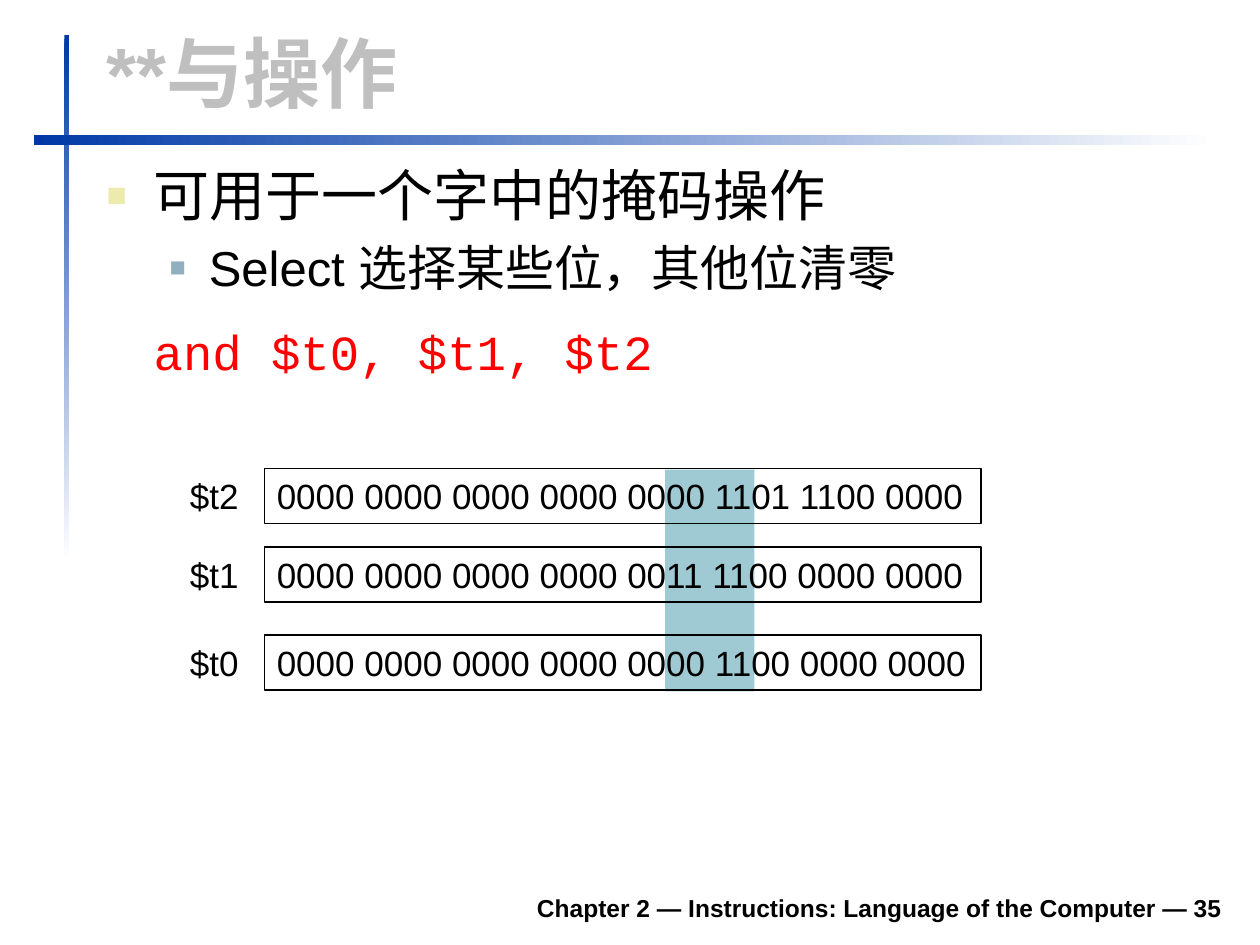
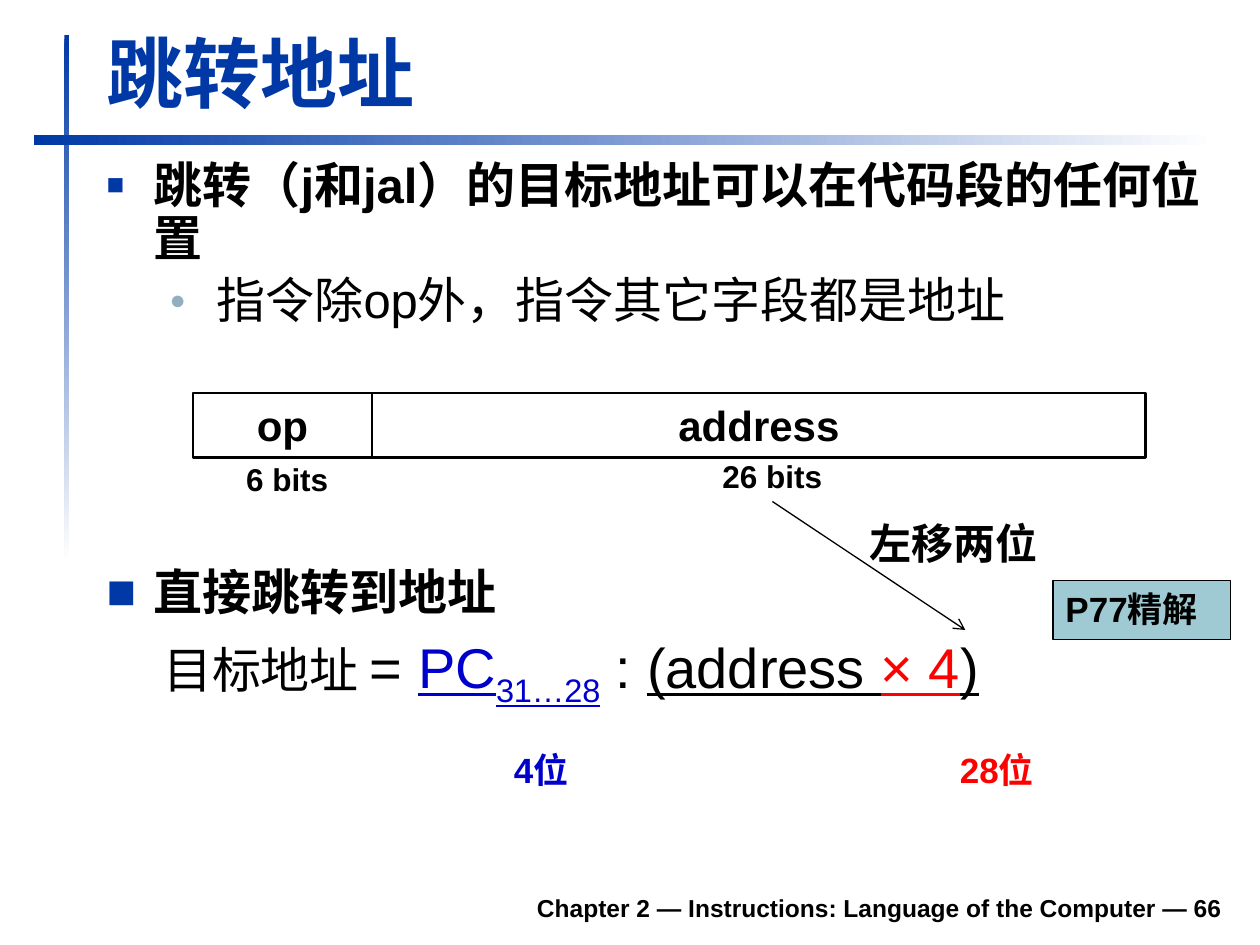
from lxml import etree
from pptx import Presentation
from pptx.dml.color import RGBColor
from pptx.enum.shapes import MSO_CONNECTOR, MSO_SHAPE
from pptx.enum.text import MSO_ANCHOR, MSO_AUTO_SIZE, PP_ALIGN
from pptx.oxml.ns import qn
from pptx.util import Cm, Pt

RECT = MSO_SHAPE.RECTANGLE
STRAIGHT = MSO_CONNECTOR.STRAIGHT
TOP, BOTTOM = MSO_ANCHOR.TOP, MSO_ANCHOR.BOTTOM
LEFT, CENTER, RIGHT = PP_ALIGN.LEFT, PP_ALIGN.CENTER, PP_ALIGN.RIGHT
NO_FIT = MSO_AUTO_SIZE.NONE

COLORS = {
    "black": "000000", "white": "FFFFFF", "navy": "0039A6", "blue": "0000CC",
    "red": "FF0000", "gray": "BFBFBF", "teal": "9FCAD3", "sand": "ECEAAC",
    "steel": "91AFBF",
}
RGB = {name: RGBColor.from_string(value) for name, value in COLORS.items()}
FOOTER = "Chapter 2 — Instructions: Language of the Computer — "


def write(tf, text, size=20, color="black", bold=False, font="Arial", align=LEFT,
          margin=0, hang=0, before=0, after=0, spacing=None, level=0,
          bullet=None, bullet_color="navy", bullet_size=100):
    p = tf.paragraphs[0] if not tf.paragraphs[0].runs else tf.add_paragraph()
    p.alignment, p.level = align, level
    p.space_before, p.space_after = Pt(before), Pt(after)
    if spacing:
        p.line_spacing = spacing
    pPr = p._p.get_or_add_pPr()
    pPr.set("marL", str(Cm(margin)))
    pPr.set("indent", str(-Cm(hang)))
    if bullet:
        clr = etree.SubElement(pPr, qn("a:buClr"))
        etree.SubElement(clr, qn("a:srgbClr"), val=COLORS[bullet_color])
        etree.SubElement(pPr, qn("a:buSzPct"), val=str(bullet_size * 1000))
        etree.SubElement(pPr, qn("a:buFont"), typeface="Arial")
        etree.SubElement(pPr, qn("a:buChar"), char=bullet)
    for part, style in [(text, {})] if isinstance(text, str) else text:
        r = p.add_run()
        r.text = part
        r.font.name, r.font.bold = font, bold
        r.font.size = Pt(style.get("size", size))
        r.font.color.rgb = RGB[style.get("color", color)]
        if style.get("underline"):
            r.font.underline = True
        if "baseline" in style:
            r.font._element.set("baseline", str(style["baseline"] * 1000))


def add_box(s, x, y, w, h, fill=None, line=None, wrap=True, anchor=TOP):
    place = Cm(x), Cm(y), Cm(w), Cm(h)
    if fill or line:
        sp = s.shapes.add_shape(RECT, *place)
        sp.shadow.inherit = False
        if fill:
            sp.fill.solid()
            sp.fill.fore_color.rgb = RGB[fill]
        else:
            sp.fill.background()
        if line:
            sp.line.color.rgb = RGB["black"]
            sp.line.width = Pt(line)
        else:
            sp.line.fill.background()
    else:
        sp = s.shapes.add_textbox(*place)
    tf = sp.text_frame
    tf.word_wrap, tf.vertical_anchor = wrap, anchor
    return tf


prs = Presentation()
prs.slide_width, prs.slide_height = Cm(25.4), Cm(19.05)

slides = []
for title, color, number in [("**与操作", "gray", 35), ("跳转地址", "navy", 66)]:
    s = prs.slides.add_slide(prs.slide_layouts[5])
    for x, y, w, h, angle in [(1.3, 0.71, 0.1, 10.59, 270), (0.69, 2.72, 23.8, 0.2, 0)]:
        band = s.shapes.add_shape(RECT, Cm(x), Cm(y), Cm(w), Cm(h))
        band.shadow.inherit = False
        band.line.fill.background()
        band.fill.gradient()
        band.fill.gradient_angle = angle
        for stop, name in zip(band.fill.gradient_stops, ["navy", "white"]):
            stop.color.rgb = RGB[name]
    sp = s.shapes.title
    sp.left, sp.top, sp.width, sp.height = Cm(1.9), Cm(0.4), Cm(22.94), Cm(2.11)
    tf = sp.text_frame
    tf.vertical_anchor, tf.auto_size = BOTTOM, NO_FIT
    write(tf, title, size=44, color=color, bold=True)
    tf = add_box(s, 4.7, 17.73, 20.19, 0.99, anchor=BOTTOM)
    write(tf, FOOTER + str(number), size=14, bold=True, align=RIGHT)
    slides.append(s)

and_slide, jump_slide = slides

s = and_slide
add_box(s, 13.41, 9.47, 1.8, 4.47, fill="teal")
tf = add_box(s, 1.9, 3.12, 22.99, 5.77)
write(tf, "可用于一个字中的掩码操作", size=32, margin=0.95, hang=0.95, before=6.4,
      bullet="■", bullet_color="sand", bullet_size=60)
write(tf, "Select 选择某些位，其他位清零", size=28, margin=2.06, hang=0.79, before=5.6,
      level=1, bullet="■", bullet_color="steel", bullet_size=55)
write(tf, "and $t0, $t1, $t2", size=28, color="red", font="Courier New",
      margin=0.95, before=14, after=8.4)

registers = [
    ("$t2", "0000 0000 0000 0000 0000 1101 1100 0000", 9.45),
    ("$t1", "0000 0000 0000 0000 0011 1100 0000 0000", 11.03),
    ("$t0", "0000 0000 0000 0000 0000 1100 0000 0000", 12.8),
]
for name, bits, y in registers:
    write(add_box(s, 3.58, y, 1.5, 1.11, wrap=False), name)
    write(add_box(s, 5.33, y, 14.45, 1.11, line=0.75, wrap=False), bits)

s = jump_slide
tf = add_box(s, 1.9, 3.12, 22.99, 4.22)
write(tf, "跳转（j和jal）的目标地址可以在代码段的任何位置", size=28, bold=True,
      margin=0.95, hang=0.95, before=5.6, spacing=0.9, bullet="■", bullet_size=60)
write(tf, "指令除op外，指令其它字段都是地址", size=28, margin=2.22, hang=0.95, before=5.6,
      spacing=0.9, level=1, bullet="●", bullet_color="steel", bullet_size=55)

for field, x, w in [("op", 3.89, 3.61), ("address", 7.5, 15.6)]:
    write(add_box(s, x, 7.92, w, 1.3, line=1.5), field, size=24, bold=True, align=CENTER)
for width, x, y, w in [("6 bits", 4.7, 9.14, 2.18), ("26 bits", 14.3, 9.09, 2.54)]:
    write(add_box(s, x, y, w, 1.02, wrap=False), width, size=18, bold=True, align=CENTER)

tf = add_box(s, 1.9, 11.33, 22.4, 4.67)
write(tf, "直接跳转到地址", size=28, bold=True, margin=0.95, hang=0.95, before=5.6,
      spacing=0.9, bullet="■")
write(tf, [
    ("目标地址 ", {"size": 28}),
    ("= ", {}),
    ("PC", {"color": "blue", "underline": True}),
    ("31…28", {"color": "blue", "underline": True, "baseline": -25}),
    (" : ", {}),
    ("(address ", {"underline": True}),
    ("× 4", {"color": "red", "underline": True}),
    (")", {"underline": True}),
], size=32, margin=1.14, before=6.4)

for width, color, x in [("4位", "blue", 10.11), ("28位", "red", 19.1)]:
    write(add_box(s, x, 14.97, 3.1, 1.12), width, color=color, bold=True)

arrow = s.shapes.add_connector(STRAIGHT, Cm(15.57), Cm(10.11), Cm(19.46), Cm(12.7))
arrow.line.color.rgb = RGB["black"]
arrow.line.width = Pt(0.75)
etree.SubElement(arrow.line._get_or_add_ln(), qn("a:tailEnd"), type="arrow")
etree.SubElement(arrow._element.spPr, qn("a:effectLst"))

write(add_box(s, 17.27, 10.31, 3.96, 1.3, wrap=False), "左移两位", size=24, bold=True)
write(add_box(s, 21.23, 11.71, 3.58, 1.19, fill="teal", line=0.75), "P77精解", bold=True)

prs.save("out.pptx")
